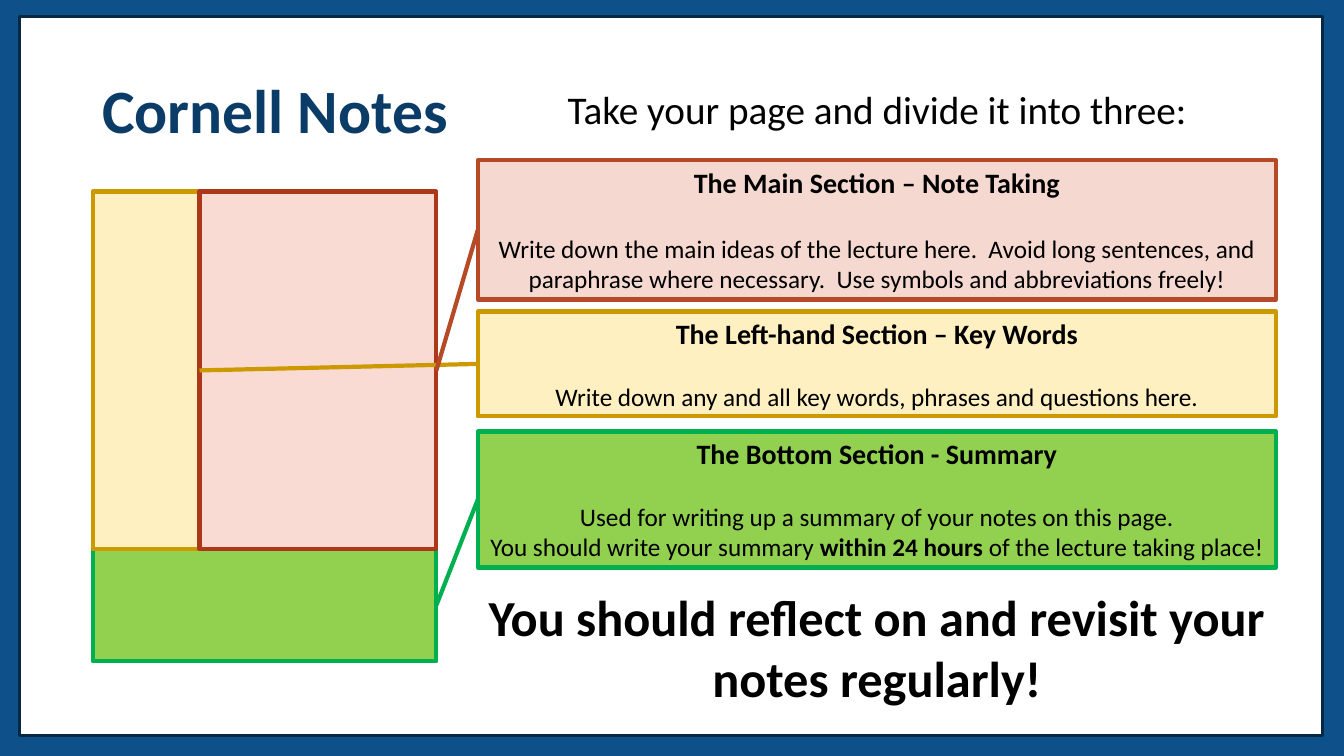
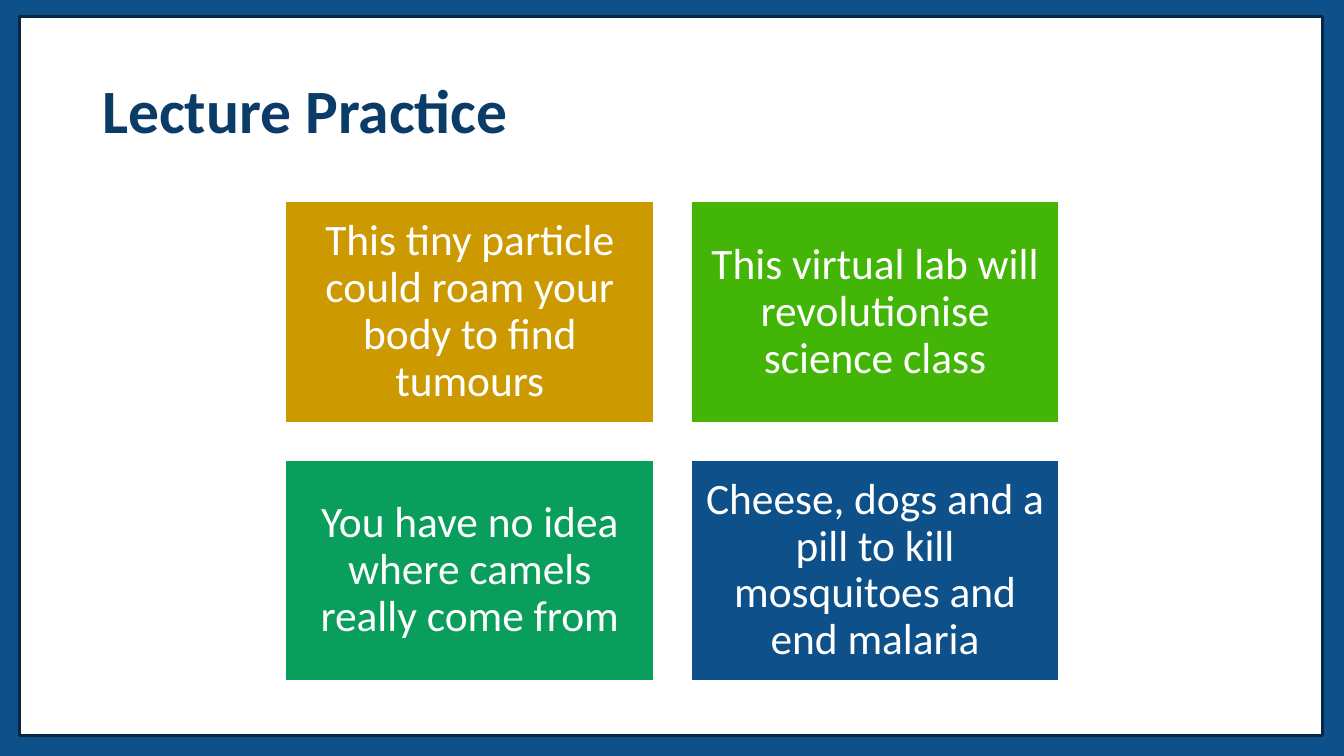
from lxml.etree import SubElement
from pptx import Presentation
from pptx.dml.color import RGBColor
from pptx.enum.shapes import MSO_CONNECTOR as LINK, MSO_SHAPE as SHAPE
from pptx.enum.text import MSO_ANCHOR as ANCHOR, PP_ALIGN as ALIGN
from pptx.oxml.ns import qn
from pptx.util import Pt

# Shared look
FONT = "Calibri"
BLACK = RGBColor(0x00, 0x00, 0x00)
WHITE = RGBColor(0xFF, 0xFF, 0xFF)
BLUE = RGBColor(0x0E, 0x50, 0x89)
NAVY = RGBColor(0x0B, 0x3C, 0x67)
INK = RGBColor(0x07, 0x28, 0x44)
GOLD = RGBColor(0xCC, 0x99, 0x00)
CREAM = RGBColor(0xFF, 0xF0, 0xC2)
RUST = RGBColor(0xAC, 0x38, 0x19)
PINK = RGBColor(0xFA, 0xDB, 0xD3)
BRICK = RGBColor(0xB6, 0x49, 0x26)
ROSE = RGBColor(0xF5, 0xD8, 0xCF)
GREEN = RGBColor(0x00, 0xB0, 0x50)
LIME = RGBColor(0x92, 0xD0, 0x50)
LEAF = RGBColor(0x42, 0xB5, 0x06)
JADE = RGBColor(0x0A, 0x9E, 0x5D)

# Note page on the left, text column on the right
PAGE_X, PAGE_Y = 66.2, 136.8
KEY_W, MAIN_W = 76.3, 169.2
TOP_H, SUM_H = 255.6, 79.9
COL_X, COL_W = 341.3, 570.2

# Topic cards
CARD_X, CARD_Y = 204, 144
CARD_W, CARD_H, GAP = 263, 158, 26.5
CARDS = [
    ("This tiny particle could roam your body to find tumours", GOLD),
    ("This virtual lab will revolutionise science class", LEAF),
    ("You have no idea where camels really come from", JADE),
    ("Cheese, dogs and a pill to kill mosquitoes and end malaria", BLUE),
]


def add_rect(slide, x, y, w, h, fill, line, width=3):
    rect = slide.shapes.add_shape(SHAPE.RECTANGLE, Pt(x), Pt(y), Pt(w), Pt(h))
    rect.shadow.inherit = False
    rect.fill.solid()
    rect.fill.fore_color.rgb = fill
    rect.line.color.rgb = line
    rect.line.width = Pt(width)
    return rect


def style(para, size, color=BLACK, bold=False, align=ALIGN.CENTER, lead=1):
    font = para.font
    font.name, font.size, font.bold = FONT, Pt(size), bold
    font.color.rgb = color
    para.alignment = align
    para.line_spacing = lead


def add_text(slide, x, y, w, h, text, size, anchor=ANCHOR.TOP, **look):
    frame = slide.shapes.add_textbox(Pt(x), Pt(y), Pt(w), Pt(h)).text_frame
    frame.word_wrap = True
    frame.vertical_anchor = anchor
    para = frame.paragraphs[0]
    para.text = text
    style(para, size, **look)


def add_slide(deck, title):
    """Blank slide with the white frame and the title."""
    slide = deck.slides.add_slide(deck.slide_layouts[6])
    add_rect(slide, 13.7, 11.5, 931, 514, WHITE, INK, 2)
    add_text(slide, 66, 28.8, 828, 104.4, title, 44, ANCHOR.MIDDLE,
             color=NAVY, bold=True, align=ALIGN.LEFT, lead=0.9)
    return slide


def add_note(slide, y, h, fill, line, head, gap, body):
    """Box with a bold heading; each body line is a list of (text, bold)."""
    box = add_rect(slide, COL_X, y, COL_W, h, fill, line)
    frame = box.text_frame
    frame.vertical_anchor = ANCHOR.TOP
    first = frame.paragraphs[0]
    first.text = head
    style(first, 20, bold=True)
    first.space_after = Pt(gap)
    for parts in body:
        para = frame.add_paragraph()
        style(para, 18)
        for text, bold in parts:
            run = para.add_run()
            run.text = text
            if bold:
                run.font.bold = True
    return box


def join(slide, part, box, color):
    """Line from the right side of a page part to the left side of its box."""
    link = slide.shapes.add_connector(LINK.STRAIGHT, 0, 0, 0, 0)
    link.begin_connect(part, 3)
    link.end_connect(box, 1)
    link.line.color.rgb = color
    link.line.width = Pt(3)
    SubElement(link._element.spPr, qn("a:effectLst"))


def add_card(slide, x, y, text, fill):
    card = add_rect(slide, x, y, CARD_W, CARD_H, fill, WHITE, 1)
    frame = card.text_frame
    frame.margin_left = frame.margin_right = Pt(9.4)
    frame.margin_top = frame.margin_bottom = Pt(9.4)
    frame.vertical_anchor = ANCHOR.MIDDLE
    para = frame.paragraphs[0]
    para.text = text
    style(para, 31, WHITE, lead=0.9)


def notes_slide(deck):
    slide = add_slide(deck, "Cornell Notes")
    add_text(slide, COL_X, 61.2, COL_W, 50,
             "Take your page and divide it into three:", 28, lead=0.9)

    # Divided page
    low = add_rect(slide, PAGE_X, PAGE_Y + TOP_H, KEY_W + MAIN_W, SUM_H,
                   LIME, GREEN)
    key = add_rect(slide, PAGE_X, PAGE_Y, KEY_W, TOP_H, CREAM, GOLD)
    main_part = add_rect(slide, PAGE_X + KEY_W, PAGE_Y, MAIN_W, TOP_H,
                         PINK, RUST)

    # Explanations
    low_box = add_note(
        slide, 308.2, 97.2, LIME, GREEN,
        "The Bottom Section - Summary", 22,
        [[("Used for writing up a summary of your notes on this page.", False)],
         [("You should write your summary ", False),
          ("within 24 hours ", True),
          ("of the lecture taking place!", False)]])
    key_box = add_note(
        slide, 222.5, 74.9, CREAM, GOLD,
        "The Left-hand Section – Key Words", 22,
        [[("Write down any and all key words, phrases and questions here.",
           False)]])
    main_box = add_note(
        slide, 114.5, 99.4, ROSE, BRICK,
        "The Main Section – Note Taking", 24.4,
        [[("Write down the main ideas of the lecture here.  Avoid long "
           "sentences, and paraphrase where necessary.  Use symbols and "
           "abbreviations freely!", False)]])

    # Links
    join(slide, low, low_box, GREEN)
    join(slide, key, key_box, GOLD)
    join(slide, main_part, main_box, BRICK)

    add_text(slide, COL_X, 415.4, COL_W, 94.5,
             "You should reflect on and revisit your notes regularly!", 36,
             bold=True)


def cards_slide(deck):
    slide = add_slide(deck, "Lecture Practice")
    for i, (text, fill) in enumerate(CARDS):
        row, col = divmod(i, 2)
        add_card(slide, CARD_X + col * (CARD_W + GAP),
                 CARD_Y + row * (CARD_H + GAP), text, fill)


def main():
    deck = Presentation()
    deck.slide_width, deck.slide_height = Pt(960), Pt(540)
    back = deck.slide_master.background.fill
    back.solid()
    back.fore_color.rgb = BLUE
    notes_slide(deck)
    cards_slide(deck)
    deck.save("out.pptx")


if __name__ == "__main__":
    main()
